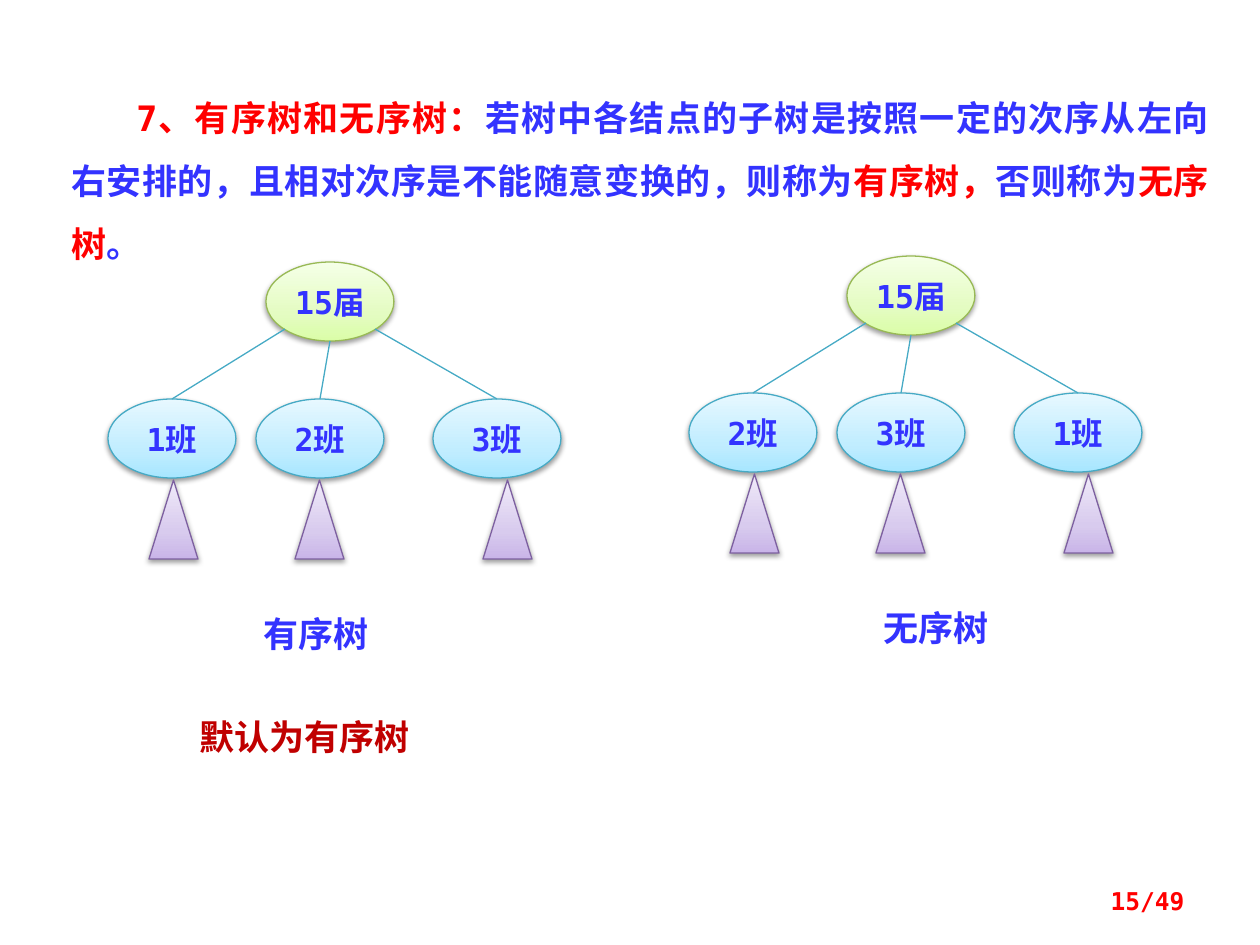
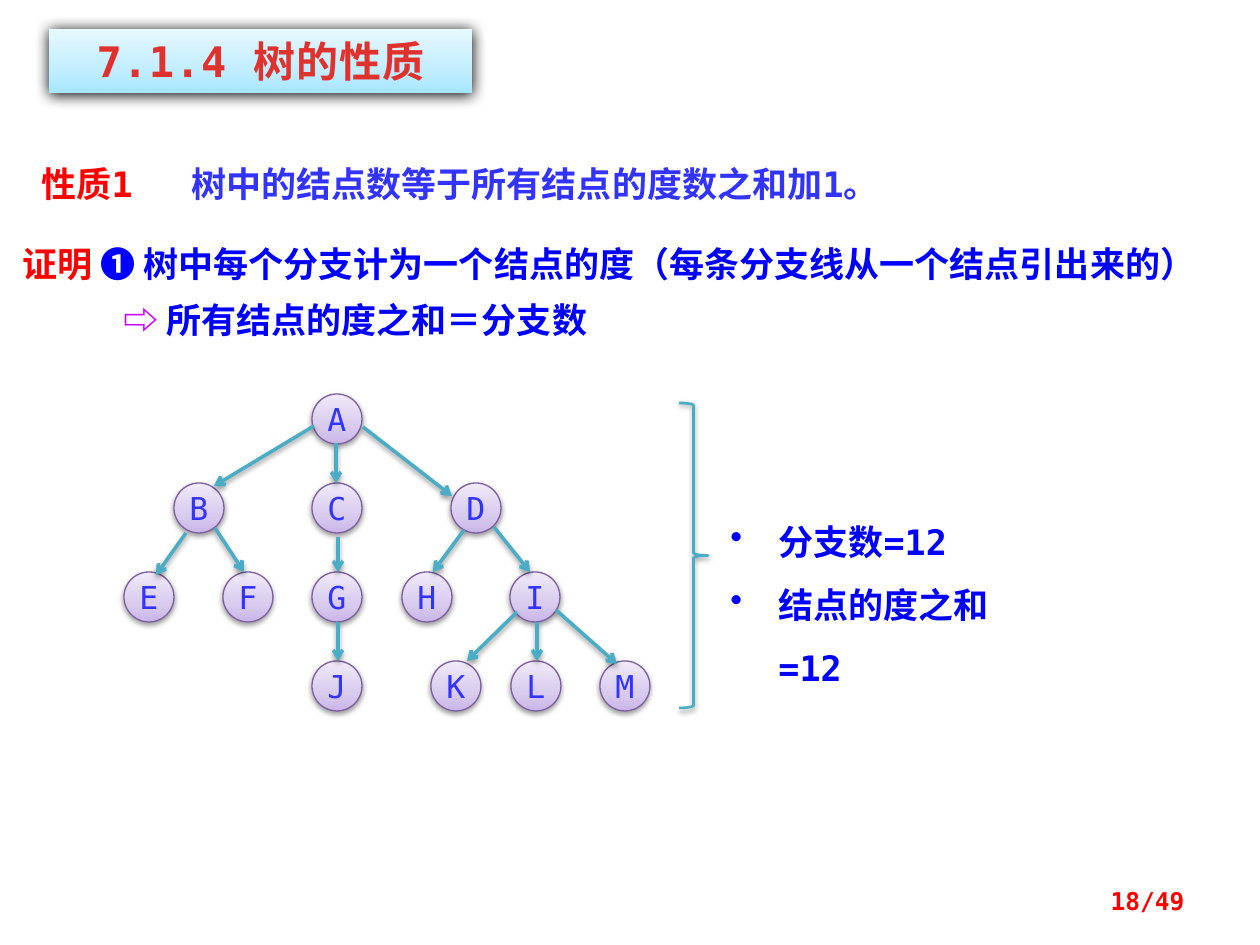
from dataclasses import dataclass

from pptx import Presentation
from pptx.dml.color import RGBColor
from pptx.enum.shapes import MSO_CONNECTOR as CONNECTOR, MSO_SHAPE as SHAPE
from pptx.enum.text import MSO_ANCHOR as ANCHOR, PP_ALIGN as ALIGN
from pptx.oxml import parse_xml
from pptx.oxml.ns import nsdecls, qn
from pptx.oxml.xmlchemy import OxmlElement
from pptx.util import Pt

EMU_PER_INCH, PX_PER_INCH = 914400, 126
MONO, CJK = "DejaVu Sans Mono", "Noto Sans CJK SC"
RED, VIOLET, BLUE, PINK = "FF0000", "3333FF", "0000FF", "CC00FF"
DARK_RED, TITLE_RED, TEAL = "C00000", "E0322D", "4BACC6"


@dataclass(frozen=True)
class Look:
    stops: tuple[str, str, str]
    line: str | None


@dataclass(frozen=True)
class Shadow:
    alpha: int
    blur: float
    distance: float


@dataclass(frozen=True)
class Type:
    size: int = 20
    color: str = VIOLET
    bold: bool = True
    name: str = MONO
    align: ALIGN = ALIGN.LEFT
    spacing: float | Pt = 1.0
    left: int = 0
    indent: int = 0
    bullet: str = ""
    tab: int = 0
    tracking: int = 0


@dataclass(frozen=True)
class ClassTree:
    dx: int
    dy: int
    classes: tuple[str, str, str]
    caption: str
    caption_left: int


@dataclass(frozen=True)
class Node:
    letter: str
    left: int
    level: int


Parts = list[tuple[str, str]]
Box = tuple[int, int, int, int]

GREEN_LOOK = Look(("DAFDA7", "E4FCC2", "F5FFE7"), "98B955")
SKY_LOOK = Look(("A7E6FF", "C1EDFF", "E7F8FF"), "46AAC5")
TITLE_LOOK = Look(SKY_LOOK.stops, None)
LILAC_LOOK = Look(("C9B5E8", "D8CBEE", "F0EAF9"), "7D60A0")
SOFT, STRONG = Shadow(38, 3.1, 1.6), Shadow(100, 8.5, 1)

LABEL = Type(size=18, align=ALIGN.CENTER)
LETTER = Type(size=18, bold=False, align=ALIGN.CENTER)
CAPTION = Type(name=CJK, align=ALIGN.CENTER)
PAGE = Type(size=14, color=RED, align=ALIGN.RIGHT)
TITLE = Type(size=24, color=TITLE_RED, align=ALIGN.CENTER, tracking=50)
RESULT = Type(color=BLUE, spacing=1.5, left=48, indent=-48, bullet="•")

CLASS_LEFTS, SUBTREE_LEFTS = (108, 256, 433), (149, 295, 483)
OVAL_W, OVAL_H, SUBTREE_W = 128, 79, 49
CLASS_TREES = (
    ClassTree(0, 0, ("1班", "2班", "3班"), "有序树", 227),
    ClassTree(581, -6, ("2班", "3班", "1班"), "无序树", 847),
)

NODE_SIZE, LEVEL_TOP, LEVEL_STEP = 50, 394, 89
NODES = [
    Node(letter, left, level)
    for level, row in enumerate((
        {"A": 312},
        {"B": 174, "C": 312, "D": 451},
        {"E": 124, "F": 223, "G": 312, "H": 402, "I": 510},
        {"J": 312, "K": 431, "L": 511, "M": 600},
    ))
    for letter, left in row.items()
]
BRANCHES: tuple[Box, ...] = (
    (314, 426, 214, 486), (336, 443, 336, 483), (363, 427, 452, 496),
    (186, 533, 156, 575), (215, 528, 244, 572), (338, 537, 338, 572),
    (464, 530, 433, 572), (494, 527, 530, 572), (338, 622, 338, 661),
    (517, 612, 467, 661), (537, 622, 537, 661), (556, 610, 617, 664),
)


def px(length: float) -> int:
    return round(length * EMU_PER_INCH / PX_PER_INCH)


def rgb(color: str) -> RGBColor:
    return RGBColor.from_string(color)


def set_effects(shape, shadow: Shadow | None) -> None:
    props = shape._element.spPr
    effects = OxmlElement("a:effectLst")
    if shadow:
        effects.append(parse_xml(
            f'<a:outerShdw {nsdecls("a")} blurRad="{Pt(shadow.blur)}" dist="{Pt(shadow.distance)}" '
            f'dir="5400000" rotWithShape="0"><a:srgbClr val="000000">'
            f'<a:alpha val="{shadow.alpha * 1000}"/></a:srgbClr></a:outerShdw>'))
    props.append(effects)


def fill_gradient(shape, stops: tuple[str, str, str]) -> None:
    marks = "".join(
        f'<a:gs pos="{pos * 1000}"><a:srgbClr val="{color}"/></a:gs>'
        for pos, color in zip((0, 35, 100), stops))
    shape._element.spPr.find(qn("a:prstGeom")).addnext(parse_xml(
        f'<a:gradFill {nsdecls("a")} rotWithShape="1"><a:gsLst>{marks}</a:gsLst>'
        f'<a:lin ang="16200000" scaled="1"/></a:gradFill>'))


def write(paragraph, parts: Parts, kind: Type) -> None:
    props = paragraph._p.get_or_add_pPr()
    if kind.left:
        props.set("marL", str(px(kind.left)))
    if kind.indent:
        props.set("indent", str(px(kind.indent)))
    paragraph.alignment = kind.align
    paragraph.line_spacing = kind.spacing
    if kind.bullet:
        bullet = OxmlElement("a:buChar")
        bullet.set("char", kind.bullet)
        props.append(bullet)
    if kind.tab:
        props.append(parse_xml(
            f'<a:tabLst {nsdecls("a")}><a:tab pos="{px(kind.tab)}" algn="l"/></a:tabLst>'))
    font = paragraph.font
    font.size, font.bold, font.name = Pt(kind.size), kind.bold, kind.name
    colors = {color for _, color in parts}
    if len(colors) == 1:
        font.color.rgb = rgb(parts[0][1])
    defaults = props.find(qn("a:defRPr"))
    east_asian = OxmlElement("a:ea")
    east_asian.set("typeface", CJK)
    defaults.append(east_asian)
    if kind.tracking:
        defaults.set("spc", str(kind.tracking))
    for text, color in parts:
        run = paragraph.add_run()
        run.text = text
        if len(colors) > 1:
            run.font.color.rgb = rgb(color)


def add_text(slide, box: Box, paragraphs: list[tuple[Parts, Type]], anchor: ANCHOR = ANCHOR.TOP) -> None:
    frame = slide.shapes.add_textbox(*map(px, box)).text_frame
    frame.word_wrap, frame.vertical_anchor = True, anchor
    for index, (parts, kind) in enumerate(paragraphs):
        write(frame.add_paragraph() if index else frame.paragraphs[0], parts, kind)


def add_line(slide, ends: Box, color: str, width: float, arrow: bool = False) -> None:
    line = slide.shapes.add_connector(CONNECTOR.STRAIGHT, *map(px, ends))
    line.line.color.rgb, line.line.width = rgb(color), Pt(width)
    if arrow:
        head = OxmlElement("a:tailEnd")
        head.set("type", "arrow")
        line.line._get_or_add_ln().append(head)
    set_effects(line, SOFT if arrow else None)


def add_figure(slide, form: SHAPE, box: Box, look: Look, text: str = "", kind: Type = LABEL,
               shadow: Shadow = SOFT, inset: int = 0, wrap: bool = True) -> None:
    figure = slide.shapes.add_shape(form, *map(px, box))
    fill_gradient(figure, look.stops)
    if look.line:
        figure.line.color.rgb, figure.line.width = rgb(look.line), Pt(0.75)
    else:
        figure.line.fill.background()
    set_effects(figure, shadow)
    if text:
        frame = figure.text_frame
        frame.margin_left = frame.margin_right = px(inset)
        frame.margin_top = frame.margin_bottom = px(inset // 2)
        frame.word_wrap, frame.vertical_anchor = wrap, ANCHOR.MIDDLE
        write(frame.paragraphs[0], [(text, kind.color)], kind)


def add_page(deck, number: int):
    slide = deck.slides.add_slide(deck.slide_layouts[6])
    add_text(slide, (903, 876, 294, 50), [([(f"{number}/49", RED)], PAGE)], ANCHOR.MIDDLE)
    return slide


def add_class_tree(slide, tree: ClassTree) -> None:
    root_left, root_top, class_top = 266 + tree.dx, 262 + tree.dy, 399 + tree.dy
    root_x, root_y = root_left + OVAL_W // 2, root_top + OVAL_H // 2
    add_figure(slide, SHAPE.OVAL, (root_left, root_top, OVAL_W, OVAL_H), GREEN_LOOK, "15届")
    starts = ((root_x - 45, root_y + 28), (root_x, root_top + OVAL_H), (root_x + 45, root_y + 28))
    for name, left, subtree_left, start in zip(tree.classes, CLASS_LEFTS, SUBTREE_LEFTS, starts):
        left += tree.dx
        add_figure(slide, SHAPE.OVAL, (left, class_top, OVAL_W, OVAL_H), SKY_LOOK, name)
        add_line(slide, (*start, left + OVAL_W // 2, class_top), SKY_LOOK.line, 0.75)
        add_figure(slide, SHAPE.ISOSCELES_TRIANGLE,
                   (subtree_left + tree.dx, class_top + 81, SUBTREE_W, OVAL_H), LILAC_LOOK)
    add_text(slide, (tree.caption_left, 606 + tree.dy, 178, 55), [([(tree.caption, VIOLET)], CAPTION)])


def build_ordered_trees(deck) -> None:
    slide = add_page(deck, 15)
    definition = [
        ("7、有序树和无序树：", RED),
        ("若树中各结点的子树是按照一定的次序从左向右安排的，且相对次序是不能随意变换的，则称为", VIOLET),
        ("有序树，", RED), ("否则称为", VIOLET), ("无序树", RED), ("。", VIOLET),
    ]
    add_text(slide, (59, 69, 1162, 132),
             [(definition, Type(align=ALIGN.JUSTIFY, spacing=1.5, indent=65))])
    for tree in CLASS_TREES:
        add_class_tree(slide, tree)
    add_text(slide, (187, 709, 325, 55), [([("默认为有序树", DARK_RED)], Type(name=CJK))])


def build_tree_property(deck) -> None:
    slide = add_page(deck, 18)
    add_text(slide, (29, 144, 994, 63), [(
        [("性质1\t", RED), ("树中的结点数等于所有结点的度数之和加1。", VIOLET)],
        Type(spacing=1.3, tab=150))])
    add_figure(slide, SHAPE.RECTANGLE, (49, 29, 423, 64), TITLE_LOOK, "7.1.4 树的性质",
               TITLE, STRONG, inset=12)
    add_text(slide, (10, 222, 1231, 126), [
        ([("证明 ", RED), ("❶ 树中每个分支计为一个结点的度（每条分支线从一个结点引出来的）", BLUE)],
         Type(spacing=Pt(32))),
        ([("⇨ ", PINK), ("所有结点的度之和＝分支数", BLUE)], Type(spacing=Pt(32), left=101)),
    ])
    add_text(slide, (718, 493, 344, 140),
             [([(fact, BLUE)], RESULT) for fact in ("分支数=12", "结点的度之和=12")])
    brace = slide.shapes.add_shape(SHAPE.RIGHT_BRACE, *map(px, (679, 403, 29, 305)))
    brace.fill.background()
    brace.line.color.rgb, brace.line.width = rgb(TEAL), Pt(1.5)
    set_effects(brace, SOFT)
    for node in NODES:
        top = LEVEL_TOP + LEVEL_STEP * node.level
        add_figure(slide, SHAPE.OVAL, (node.left, top, NODE_SIZE, NODE_SIZE), LILAC_LOOK,
                   node.letter, LETTER, inset=12, wrap=False)
    for branch in BRANCHES:
        add_line(slide, branch, TEAL, 2, arrow=True)


def main() -> None:
    """Build the two slides on trees and save them."""
    deck = Presentation()
    deck.slide_width, deck.slide_height = px(1260), px(945)
    build_ordered_trees(deck)
    build_tree_property(deck)
    deck.save("out.pptx")


if __name__ == "__main__":
    main()
